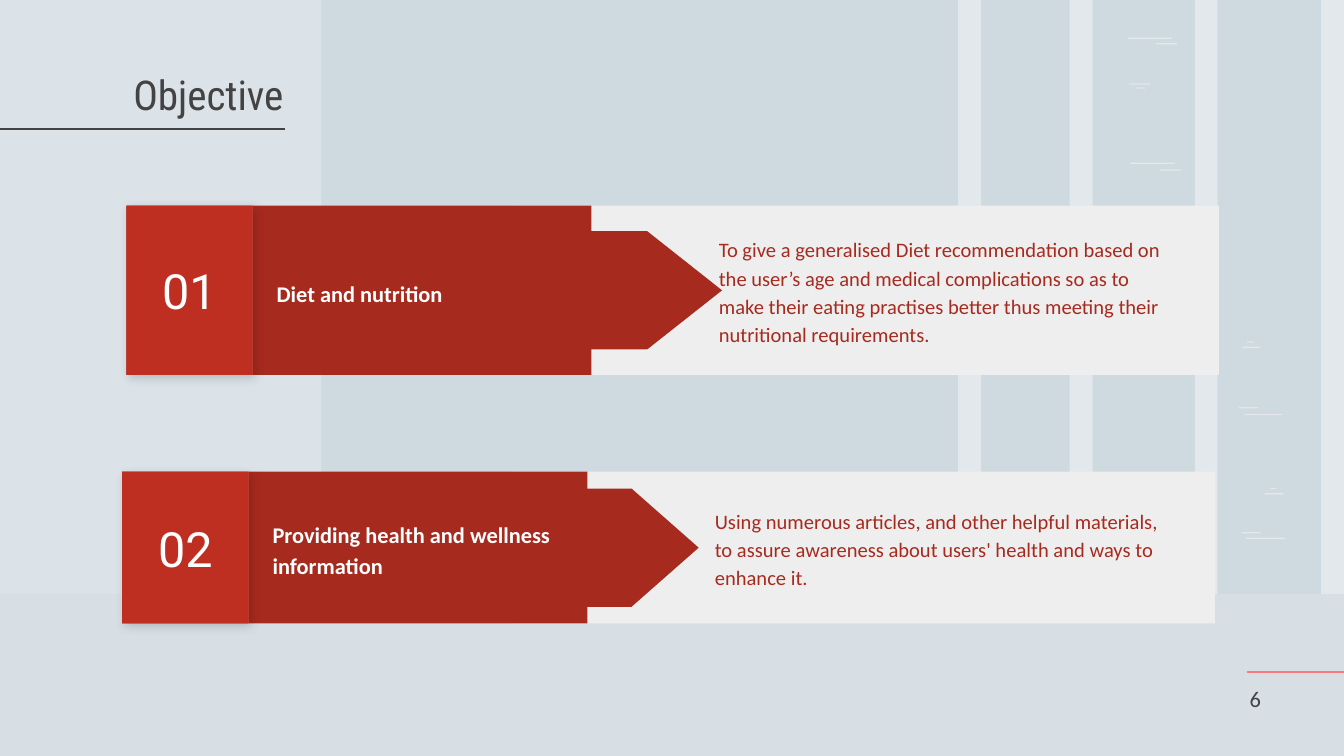
import pptx
import pptx.util
import pptx.dml.color
import pptx.enum.shapes
import pptx.enum.text
from dataclasses import dataclass
from lxml import etree

Inches = pptx.util.Inches
Pt = pptx.util.Pt
SHAPE = pptx.enum.shapes.MSO_SHAPE
ALIGN = pptx.enum.text.PP_ALIGN
ANCHOR = pptx.enum.text.MSO_ANCHOR
WIDE = 10
HIGH = WIDE * 9 / 16


@dataclass(frozen=True)
class Theme:
    back: str = "CFD9E0"
    white: str = "FFFFFF"
    dark: str = "434343"
    pink: str = "FF787F"
    pale: str = "EEEEEE"
    red: str = "A72A1E"
    under: str = "B02C20"
    bright: str = "BE2F22"
    body: str = "Calibri"
    digit: str = "Roboto"
    head: str = "Roboto Condensed"
    title: int = 22
    number: int = 26
    label: int = 12
    text: int = 11
    page: int = 12


THEME = Theme()

# Thin dashes on the wall: left, top, width
DASHES = [
    (8.39, 0.28, 0.33), (8.6, 0.32, 0.16), (8.41, 1.21, 0.33), (8.63, 1.26, 0.16),
    (8.4, 0.62, 0.16), (8.46, 0.65, 0.06), (9.27, 4, 0.29), (9.24, 3.96, 0.14),
    (9.26, 3.08, 0.28), (9.22, 3.03, 0.14), (9.41, 3.67, 0.14), (9.45, 3.63, 0.05),
    (9.24, 2.58, 0.14), (9.28, 2.54, 0.05),
]

# Box of each row, then its number, label and text
ROWS = [
    ((0.91, 3.51, 8.13, 1.13), "02", "Providing health and wellness information",
     "Using numerous articles, and other helpful materials, to assure awareness "
     "about users' health and ways to enhance it."),
    ((0.94, 1.53, 8.13, 1.26), "01", "Diet and nutrition",
     "To give a generalised Diet recommendation based on the user’s age and medical "
     "complications so as to make their eating practises better thus meeting their "
     "nutritional requirements."),
]


def paint(color, hue):
    color.rgb = pptx.dml.color.RGBColor.from_string(hue)


def add_sub(node, tag, **attrs):
    sub = etree.SubElement(node, pptx.oxml.ns.qn(tag))
    for key, value in attrs.items():
        sub.set(key, str(value))
    return sub


def add_block(shapes, box, hue, alpha=None, kind=SHAPE.RECTANGLE):
    shape = shapes.add_shape(kind, *map(Inches, box))
    shape.shadow.inherit = False
    shape.fill.solid()
    paint(shape.fill.fore_color, hue)
    shape.line.fill.background()
    if alpha:
        tint = shape.fill._xPr.find(".//" + pptx.oxml.ns.qn("a:srgbClr"))
        add_sub(tint, "a:alpha", val=alpha * 1000)
    return shape


def add_rule(shapes, left, right, top, hue):
    rule = shapes.add_connector(pptx.enum.shapes.MSO_CONNECTOR.STRAIGHT,
                                *map(Inches, (left, top, right, top)))
    paint(rule.line.color, hue)
    rule.line.width = Pt(1.5)
    add_sub(rule._element.spPr, "a:effectLst")


def add_box(shapes, box):
    return shapes.add_textbox(*map(Inches, box))


def write(shape, text, face, size, hue, anchor=ANCHOR.MIDDLE, align=ALIGN.LEFT,
          bold=False, space=None, indent=None):
    frame = shape.text_frame
    frame.text = text
    pad = Inches(0.1)
    look = {"word_wrap": True, "auto_size": pptx.enum.text.MSO_AUTO_SIZE.NONE,
            "vertical_anchor": anchor, "margin_left": pad, "margin_right": pad,
            "margin_top": pad, "margin_bottom": pad}
    for key, value in look.items():
        setattr(frame, key, value)
    para = frame.paragraphs[0]
    para.alignment = align
    if space:
        para.line_spacing = space
    if indent:
        props = para._p.get_or_add_pPr()
        props.set("marL", str(Inches(indent)))
        props.set("indent", "0")
    font = para.runs[0].font
    for key, value in {"name": face, "size": Pt(size), "bold": bold}.items():
        setattr(font, key, value)
    paint(font.color, hue)


def draw_wall(shapes, box):
    left, top, width, height = box
    floor = 4.42
    # Pillars
    for x in (7.13, 7.96, 8.89, 9.83):
        add_block(shapes, (left + x, top, 0.17, floor), THEME.white, 40)
    for x, y, span in DASHES:
        add_block(shapes, (left + x, top + y, span, 0.01), THEME.white, 40)
    # Side panel and floor
    add_block(shapes, (left, top, 2.39, floor), THEME.white, 27)
    add_block(shapes, (left, top + floor, width, height - floor), THEME.white, 17)


def draw_title(slide, box):
    left, top, width, height = box
    add_rule(slide.shapes, left, left + width - 0.09, top + height - 0.02, THEME.dark)
    title = slide.shapes.title
    slide.shapes._spTree.append(title._element)  # in front of the wall
    for key, value in zip(("left", "top", "width", "height"), box):
        setattr(title, key, Inches(value))
    write(title, "Objective", THEME.head, THEME.title, THEME.dark,
          ANCHOR.BOTTOM, ALIGN.RIGHT)


def draw_page(shapes, box):
    left, top, width, height = box
    add_rule(shapes, left + 0.08, WIDE, top + 0.03, THEME.pink)
    write(add_box(shapes, box), "6", THEME.body, THEME.page, THEME.dark, ANCHOR.BOTTOM)


def draw_row(shapes, box, number, label, text):
    left, top, width, height = box
    side = 0.94
    group = shapes.add_group_shape().shapes
    # Pale strip and red panel
    add_block(group, (left + 2.91, top, width - 2.91, height), THEME.pale)
    add_block(group, (left + side, top, 2.52, height), THEME.red)
    # Arrow, turned to point right
    thick, span = 0.88, 2.21 * height
    arrow = add_block(group, (left + 3.04 - thick / 2, top + (height - span) / 2, thick, span),
                      THEME.red, kind=SHAPE.FLOWCHART_OFFPAGE_CONNECTOR)
    arrow.rotation = 270
    # Label
    write(add_box(group, (left + 1.02, top + 0.12 * height, 2.65, 0.77 * height)),
          label, THEME.body, THEME.label, THEME.white, bold=True, space=1.15)
    # Number tile over its shadow
    tile = (left, top, side, height)
    under = add_block(group, tile, THEME.under)
    effects = under._element.spPr.find(pptx.oxml.ns.qn("a:effectLst"))
    cast = add_sub(effects, "a:outerShdw", blurRad=Pt(5.6), dist=Pt(2.2),
                   dir=45 * 60000, algn="tl", rotWithShape=0)
    add_sub(add_sub(cast, "a:srgbClr", val="000000"), "a:alpha", val=17000)
    write(add_block(group, tile, THEME.bright), number, THEME.digit, THEME.number,
          THEME.white, align=ALIGN.CENTER)
    # Text
    write(add_box(group, (left + 3.81, top, 4.05, height)), text, THEME.body,
          THEME.text, THEME.red, space=1.15, indent=0.5)


def main():
    deck = pptx.Presentation()
    deck.slide_width, deck.slide_height = Inches(WIDE), Inches(HIGH)
    slide = deck.slides.add_slide(deck.slide_layouts[5])
    slide.background.fill.solid()
    paint(slide.background.fill.fore_color, THEME.back)
    draw_wall(slide.shapes, (0, 0, WIDE, HIGH))
    draw_title(slide, (-0.02, 0.44, 2.23, 0.54))
    draw_page(slide.shapes, (9.2, 4.97, 0.77, 0.43))
    for row in ROWS:
        draw_row(slide.shapes, *row)
    deck.save("out.pptx")


if __name__ == "__main__":
    main()
